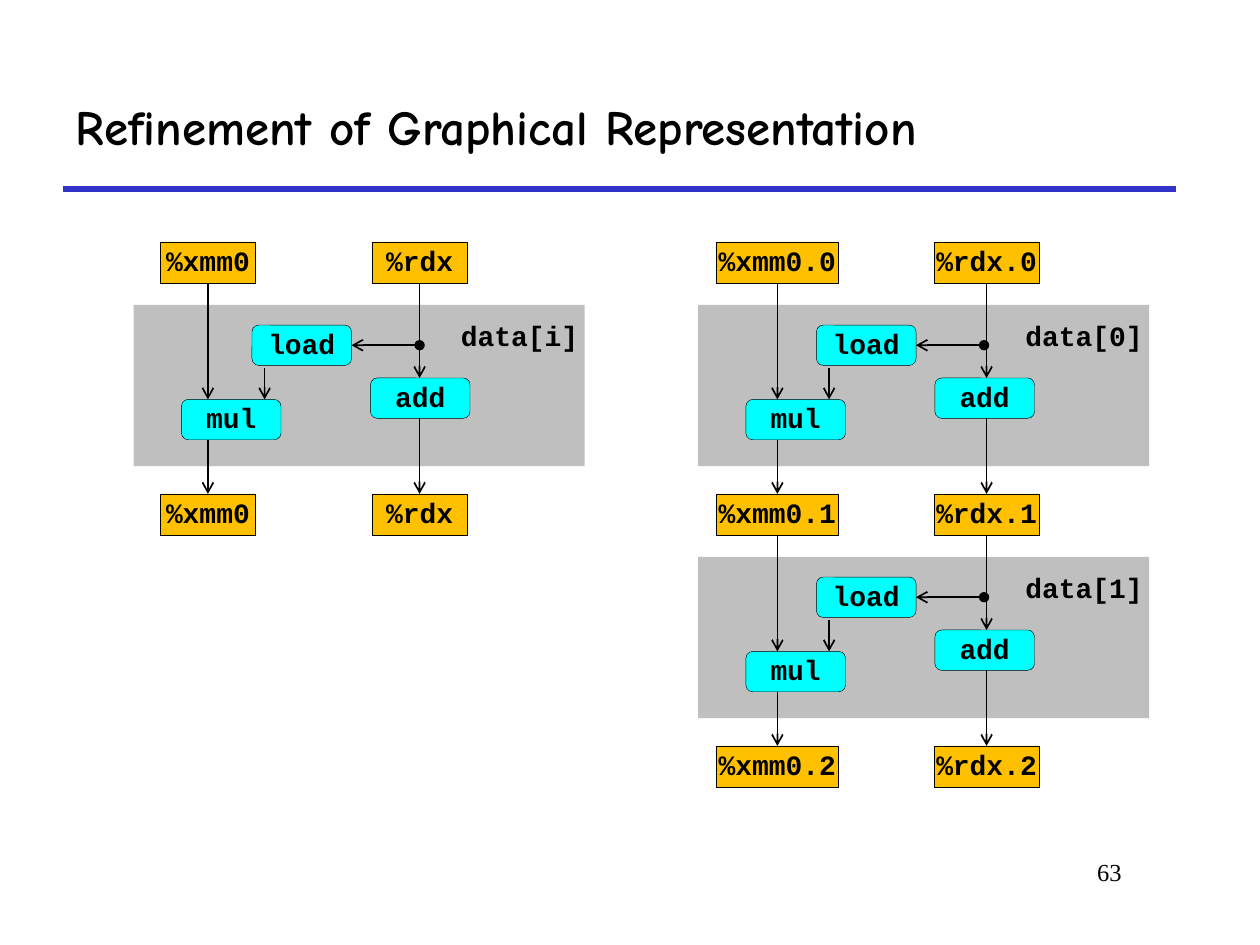
from dataclasses import dataclass

from lxml.etree import SubElement
from pptx import Presentation
from pptx.dml.color import RGBColor
from pptx.enum.shapes import MSO_CONNECTOR as Connector, MSO_SHAPE as Shape
from pptx.enum.text import MSO_ANCHOR as Anchor, MSO_AUTO_SIZE as AutoSize, PP_ALIGN as Align
from pptx.oxml.ns import qn
from pptx.util import Inches, Pt


@dataclass(frozen=True)
class Theme:
    ink: RGBColor = RGBColor(0, 0, 0)
    rule: RGBColor = RGBColor(0x33, 0x33, 0xCC)
    panel: RGBColor = RGBColor(0xBF, 0xBF, 0xBF)
    register: RGBColor = RGBColor(0xFF, 0xC0, 0x00)
    operation: RGBColor = RGBColor(0x00, 0xFF, 0xFF)
    title_font: str = "Comic Neue"
    code_font: str = "Courier New"
    number_font: str = "Times New Roman"
    title_size: int = 28
    code_size: int = 16
    number_size: int = 14


@dataclass(frozen=True)
class Register:
    axis: float
    width: float


@dataclass(frozen=True)
class Iteration:
    """One pass of the loop: registers flow in, through the panel and out."""
    left: float
    top: float
    xmm: Register
    rdx: Register
    element: str
    inputs: tuple[str, str] | None
    outputs: tuple[str, str]


THEME = Theme()
STEP = 2.0  # distance from one register row to the next
REGISTER_HEIGHT = 0.33
OPERATION_WIDTH, OPERATION_HEIGHT = 0.79, 0.32
# Operation offsets from the panel's left edge and the register row's top
OPERATIONS = {"load": (0.94, 0.66), "mul": (0.38, 1.25), "add": (1.88, 1.08)}

FIRST_TOP = 1.92
PLAIN = (Register(1.65, 0.75), Register(3.33, 0.75))
NUMBERED = (Register(6.17, 0.97), Register(7.83, 0.83))


def numbered_names(index: int) -> tuple[str, str]:
    return f"%xmm0.{index}", f"%rdx.{index}"


ITERATIONS = [
    Iteration(1.06, FIRST_TOP, *PLAIN, "data[i]", ("%xmm0", "%rdx"), ("%xmm0", "%rdx")),
    *(
        Iteration(5.54, FIRST_TOP + STEP * index, *NUMBERED, f"data[{index}]",
                  None if index else numbered_names(0), numbered_names(index + 1))
        for index in range(2)
    ),
]


def write(frame, text: str, font: str, size: int, bold: bool = True,
          align=Align.LEFT, spacing: float = 1.0, **frame_format) -> None:
    for name, value in frame_format.items():
        setattr(frame, name, value)
    para = frame.paragraphs[0]
    para.alignment, para.line_spacing = align, spacing
    span = para.add_run()
    span.text = text
    for name, value in {"name": font, "size": Pt(size), "bold": bold}.items():
        setattr(span.font, name, value)
    span.font.color.rgb = THEME.ink


def add_box(shapes, kind, bounds: tuple, fill: RGBColor, text: str = ""):
    box = shapes.add_shape(kind, *map(Inches, bounds))
    box.shadow.inherit = False
    box.fill.solid()
    box.fill.fore_color.rgb = fill
    if not text:
        box.line.fill.background()
        return box
    box.line.color.rgb = THEME.ink
    box.line.width = Pt(0.25)
    no_margins = {f"margin_{side}": 0 for side in ("left", "top", "right", "bottom")}
    write(box.text_frame, text, THEME.code_font, THEME.code_size, align=Align.CENTER,
          spacing=0.9, vertical_anchor=Anchor.MIDDLE, word_wrap=True, **no_margins)
    return box


def add_line(shapes, start: tuple, end: tuple, color: RGBColor, width: float,
             ends: dict[str, str] | None = None) -> None:
    line = shapes.add_connector(Connector.STRAIGHT, *map(Inches, (*start, *end)))
    line.line.color.rgb = color
    line.line.width = Pt(width)
    outline = line.line._get_or_add_ln()
    for tag, kind in (ends or {}).items():
        SubElement(outline, qn(tag), type=kind)
    SubElement(line._element.spPr, qn("a:effectLst"))


def add_arrow(shapes, start: tuple, end: tuple, dot: bool = False) -> None:
    ends = {"a:headEnd": "oval"} if dot else {}
    add_line(shapes, start, end, THEME.ink, 1, ends | {"a:tailEnd": "arrow"})


def add_text(shapes, bounds: tuple):
    box = shapes.add_textbox(*map(Inches, bounds))
    box.text_frame.word_wrap = True
    return box.text_frame


def draw_iteration(page, item: Iteration) -> None:
    shapes = page.shapes.add_group_shape().shapes
    left, top = item.left, item.top
    bottom = top + STEP
    add_box(shapes, Shape.RECTANGLE, (left, top + 0.5, 3.58, 1.28), THEME.panel)

    # Registers
    for names, row in ((item.inputs, top), (item.outputs, bottom)):
        for name, register in zip(names or (), (item.xmm, item.rdx)):
            bounds = (register.axis - register.width / 2, row, register.width, REGISTER_HEIGHT)
            add_box(shapes, Shape.RECTANGLE, bounds, THEME.register, name)

    # Operations
    for name, (across, down) in OPERATIONS.items():
        bounds = (left + across, top + down, OPERATION_WIDTH, OPERATION_HEIGHT)
        add_box(shapes, Shape.ROUNDED_RECTANGLE, bounds, THEME.operation, name)

    # Data flow through mul and add
    for register, name in ((item.xmm, "mul"), (item.rdx, "add")):
        axis, entry = register.axis, top + OPERATIONS[name][1]
        add_arrow(shapes, (axis, top + REGISTER_HEIGHT), (axis, entry))
        add_arrow(shapes, (axis, entry + OPERATION_HEIGHT), (axis, bottom))

    # The address goes to load, the loaded value to mul
    load_left, load_top = left + OPERATIONS["load"][0], top + OPERATIONS["load"][1]
    middle = load_top + OPERATION_HEIGHT / 2
    add_arrow(shapes, (left + 2.27, middle), (load_left + OPERATION_WIDTH, middle), dot=True)
    add_arrow(shapes, (load_left + 0.1, top + 1), (load_left + 0.1, top + OPERATIONS["mul"][1]))

    # Array element
    write(add_text(shapes, (left + 2.5, top + 0.59, 1.21, 0.34)), item.element,
          THEME.code_font, THEME.code_size, spacing=0.9, auto_size=AutoSize.SHAPE_TO_FIT_TEXT)


def main() -> None:
    deck = Presentation()
    deck.slide_width, deck.slide_height = Inches(10), Inches(7.5)
    page = deck.slides.add_slide(deck.slide_layouts[5])

    # Title and rule
    title = page.shapes.title
    bounds = {"left": 0.5, "top": 0.5, "width": 8.83, "height": 1}
    for name, value in bounds.items():
        setattr(title, name, Inches(value))
    write(title.text_frame, "Refinement of Graphical Representation", THEME.title_font,
          THEME.title_size, vertical_anchor=Anchor.MIDDLE, auto_size=AutoSize.NONE)
    add_line(page.shapes, (0.5, 1.5), (9.33, 1.5), THEME.rule, 3)

    # Data-flow graphs
    for item in ITERATIONS:
        draw_iteration(page, item)

    # Page number
    write(add_text(page.shapes, (7.58, 6.75, 1.42, 0.5)), "63", THEME.number_font,
          THEME.number_size, bold=False, align=Align.RIGHT)

    deck.save("out.pptx")


if __name__ == "__main__":
    main()
